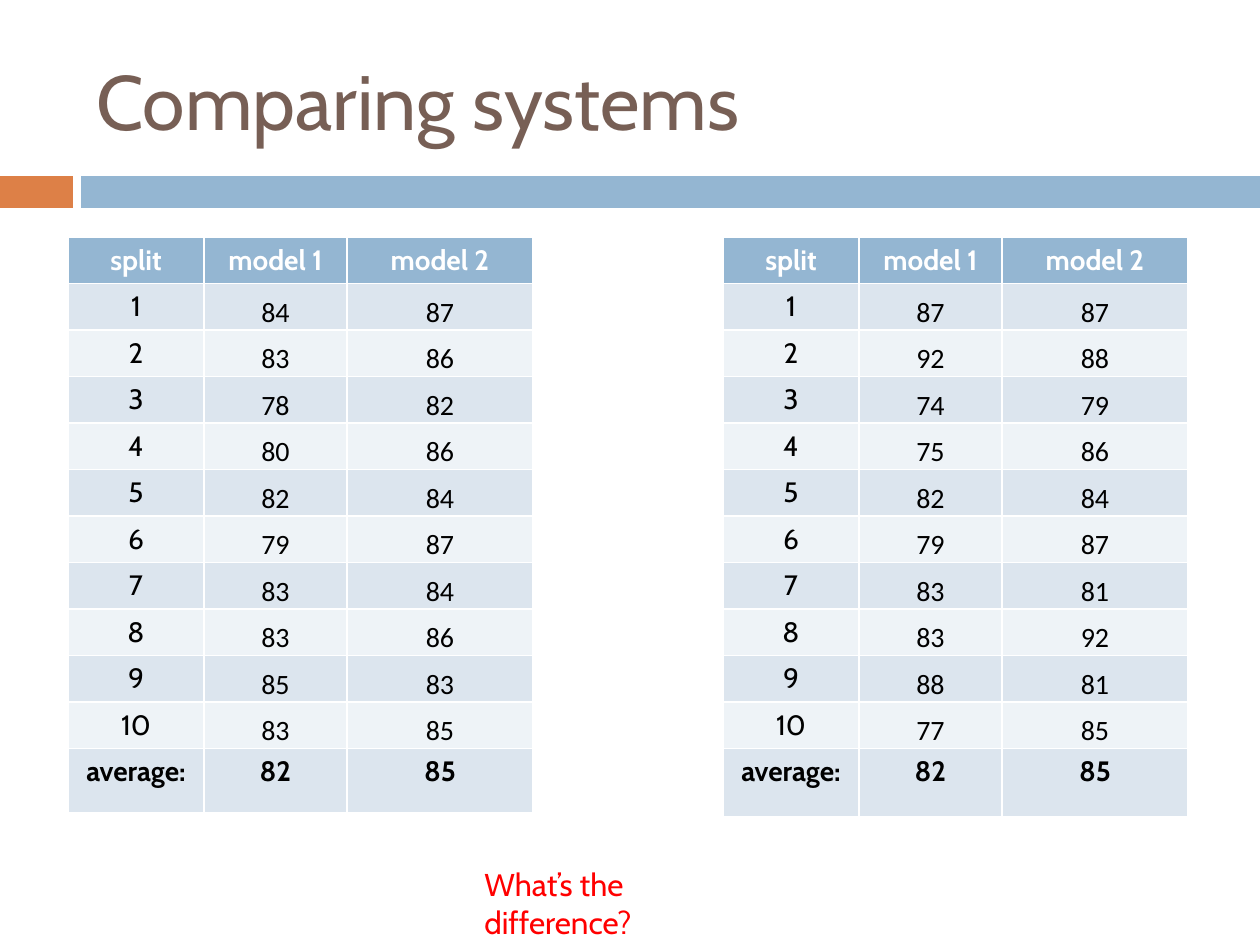
from pptx import Presentation
from pptx.dml.color import RGBColor
from pptx.enum.shapes import MSO_SHAPE
from pptx.enum.text import MSO_ANCHOR, PP_ALIGN
from pptx.util import Pt

PX = 914400 / 126
COLORS = {
    "orange": "DD8047", "blue": "94B6D2", "brown": "775F55", "white": "FFFFFF",
    "black": "000000", "red": "FF0000", "dark band": "DCE5EE", "light band": "EEF3F7",
}


def px(*lengths):
    """Convert lengths in px to EMU."""
    return [round(length * PX) for length in lengths]


def write(frame, text, color, align=PP_ALIGN.LEFT, **font_format):
    paragraph = frame.paragraphs[0]
    paragraph.alignment = align
    run = paragraph.add_run()
    run.text = text
    run.font.color.rgb = RGBColor.from_string(COLORS[color])
    for name, value in font_format.items():
        setattr(run.font, name, value)


presentation = Presentation()
presentation.slide_width, presentation.slide_height = px(1260, 945)
slide = presentation.slides.add_slide(presentation.slide_layouts[5])

# Divider bars
for left, width, color in [(0, 73, "orange"), (81, 1179, "blue")]:
    bar = slide.shapes.add_shape(MSO_SHAPE.RECTANGLE, *px(left, 176, width, 32))
    bar.shadow.inherit = False
    bar.fill.solid()
    bar.fill.fore_color.rgb = RGBColor.from_string(COLORS[color])
    bar.line.fill.background()

# Title
title = slide.shapes.title
title.left, title.top, title.width, title.height = px(84, 32, 1124, 136)
title.text_frame.vertical_anchor = MSO_ANCHOR.MIDDLE
write(title.text_frame, "Comparing systems", "brown", size=Pt(44), name="Cabin")

# Score tables: left edge, height of the average row, scores of both models
HEADERS = ["split", "model 1", "model 2"]
AVERAGES = ["average:", 82, 85]
COLUMN_WIDTHS = [136, 143, 186]
ROW_HEIGHT = 43
SCORE_CELL = dict(zip(
    ["margin_left", "margin_top", "margin_right", "margin_bottom"], px(1, 1, 1, 0)))
SCORE_CELL["vertical_anchor"] = MSO_ANCHOR.BOTTOM
score_tables = [
    (68, 64, [84, 83, 78, 80, 82, 79, 83, 83, 85, 83],
     [87, 86, 82, 86, 84, 87, 84, 86, 83, 85]),
    (723, 68, [87, 92, 74, 75, 82, 79, 83, 83, 88, 77],
     [87, 88, 79, 86, 84, 87, 81, 92, 81, 85]),
]

for left, average_height, model_1, model_2 in score_tables:
    splits = range(1, len(model_1) + 1)
    rows = [HEADERS, *zip(splits, model_1, model_2), AVERAGES]
    last = len(rows) - 1
    heights = [ROW_HEIGHT] * last + [average_height]
    table = slide.shapes.add_table(
        len(rows), len(HEADERS),
        *px(left, 237, sum(COLUMN_WIDTHS), sum(heights))).table
    for column, width in zip(table.columns, px(*COLUMN_WIDTHS)):
        column.width = width
    for row, height in zip(table.rows, px(*heights)):
        row.height = height

    for i, values in enumerate(rows):
        band = "blue" if i == 0 else "dark band" if i % 2 else "light band"
        for j, value in enumerate(values):
            cell = table.cell(i, j)
            cell.fill.solid()
            cell.fill.fore_color.rgb = RGBColor.from_string(COLORS[band])
            is_score = 0 < i < last and j > 0
            if is_score:
                for name, setting in SCORE_CELL.items():
                    setattr(cell, name, setting)
            write(cell.text_frame, str(value), "white" if i == 0 else "black",
                  PP_ALIGN.CENTER, size=Pt(16), bold=i in (0, last),
                  name="Calibri" if is_score else "Cabin")

# Closing question
question = slide.shapes.add_textbox(*px(472, 859, 315, 50))
question.text_frame.word_wrap = True
write(question.text_frame, "What’s the difference?", "red", size=Pt(18), name="Cabin")

presentation.save("out.pptx")
